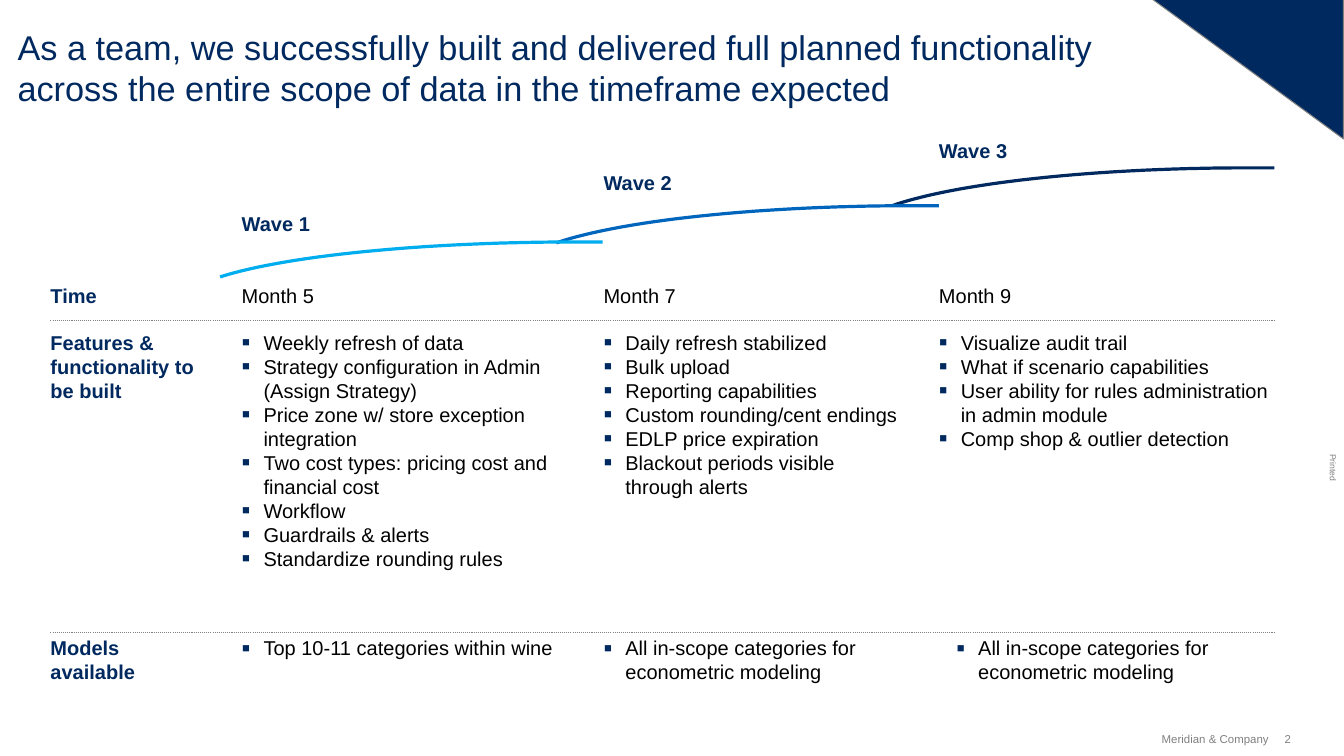
from lxml import etree
from pptx import Presentation
from pptx import util as u
from pptx.dml.color import RGBColor
from pptx.enum import dml, shapes, text
from pptx.oxml.ns import qn

COLORS = {"navy": "002960", "blue": "0065BD", "cyan": "00ADEF", "gray": "808080", "black": "000000"}
LEFT, RIGHT = 35.3, 892.8
LABEL_W = 106.6
TIME_Y, FEATURES_Y, MODELS_Y = 198.7, 231.1, 445
WAVE_W = 267.8

ROWS = [("Time", TIME_Y), ("Features & functionality to be built", FEATURES_Y), ("Models available", MODELS_Y)]
WAVES = [
    {"name": "Wave 1", "name_y": 148.3, "month": "Month 5", "x": 169.2, "w": 219.6,
     "curve": (154.1, 169.4, 24.5), "color": "cyan", "models_x": 169.2, "models_w": 219.6,
     "features": ["Weekly refresh of data", "Strategy configuration in Admin (Assign Strategy)",
                  "Price zone w/ store exception integration",
                  "Two cost types: pricing cost and financial cost",
                  "Workflow", "Guardrails & alerts", "Standardize rounding rules"],
     "models": ["Top 10-11 categories within wine"]},
    {"name": "Wave 2", "name_y": 119.5, "month": "Month 7", "x": 422.6, "w": 211,
     "curve": (389.5, 144, 26), "color": "blue", "models_x": 422.6, "models_w": 211,
     "features": ["Daily refresh stabilized", "Bulk upload", "Reporting capabilities",
                  "Custom rounding/cent endings", "EDLP price expiration",
                  "Blackout periods visible through alerts"],
     "models": ["All in-scope categories for econometric modeling"]},
    {"name": "Wave 3", "name_y": 97.2, "month": "Month 9", "x": 657.4, "w": 235.4,
     "curve": (624.5, 117.5, 26.5), "color": "navy", "models_x": 669.6, "models_w": 211,
     "features": ["Visualize audit trail", "What if scenario capabilities",
                  "User ability for rules administration in admin module",
                  "Comp shop & outlier detection"],
     "models": ["All in-scope categories for econometric modeling"]},
]


def rgb(name):
    return RGBColor.from_string(COLORS[name])


def add_bullet(p):
    pPr = p._p.get_or_add_pPr()
    pPr.set("marL", str(u.Pt(15.3)))
    pPr.set("indent", str(-u.Pt(15.3)))
    color = etree.SubElement(pPr, qn("a:buClr"))
    etree.SubElement(color, qn("a:srgbClr"), val=COLORS["navy"])
    etree.SubElement(pPr, qn("a:buSzPct"), val="125000")
    etree.SubElement(pPr, qn("a:buFont"), typeface="Arial")
    etree.SubElement(pPr, qn("a:buChar"), char="▪")


def add_text(s, content, x, y, w, h, size=14, color="black", bold=False, bullets=False,
             wrap=True, align=text.PP_ALIGN.LEFT, anchor=text.MSO_ANCHOR.TOP, rotation=0):
    sp = s.shapes.add_textbox(u.Pt(x), u.Pt(y), u.Pt(w), u.Pt(h))
    sp.rotation = rotation
    tf = sp.text_frame
    tf.margin_left = tf.margin_right = tf.margin_top = tf.margin_bottom = 0
    tf.word_wrap = wrap
    tf.vertical_anchor = anchor
    lines = [content] if isinstance(content, str) else content
    for i, line in enumerate(lines):
        p = tf.paragraphs[0] if i == 0 else tf.add_paragraph()
        p.alignment = align
        if bullets:
            add_bullet(p)
        r = p.add_run()
        r.text = line
        r.font.name = "Arial"
        r.font.size = u.Pt(size)
        r.font.bold = bold
        r.font.color.rgb = rgb(color)


def add_rule(s, x, y, w):
    line = s.shapes.add_connector(shapes.MSO_CONNECTOR.STRAIGHT, u.Pt(x), u.Pt(y), u.Pt(x + w), u.Pt(y))
    line.line.color.rgb = rgb("gray")
    line.line.width = u.Pt(0.75)
    line.line.dash_style = dml.MSO_LINE.ROUND_DOT
    etree.SubElement(line._element.spPr, qn("a:effectLst"))


def add_curve(s, x, y, w, h, color):
    points = []
    for i in range(31):
        t = i / 30
        dx = w * (3 * (1 - t) ** 2 * t * 0.17 + 3 * (1 - t) * t ** 2 * 0.53 + t ** 3 * 0.93)
        dy = h * ((1 - t) ** 3 + 3 * (1 - t) ** 2 * t * 0.4)
        points.append((u.Pt(x + dx), u.Pt(y + dy)))
    points.append((u.Pt(x + w), u.Pt(y)))
    builder = s.shapes.build_freeform(*points[0])
    builder.add_line_segments(points[1:], close=False)
    sp = builder.convert_to_shape()
    sp.shadow.inherit = False
    sp.fill.background()
    sp.line.color.rgb = rgb(color)
    sp.line.width = u.Pt(2.25)


def add_corner(s, x, y, w, h):
    sp = s.shapes.add_shape(shapes.MSO_SHAPE.ISOSCELES_TRIANGLE, u.Pt(x), u.Pt(y), u.Pt(w), u.Pt(h))
    sp.adjustments[0] = 1
    sp._element.spPr.find(qn("a:xfrm")).set("flipV", "1")
    sp.shadow.inherit = False
    sp.fill.solid()
    sp.fill.fore_color.rgb = rgb("navy")
    sp.line.color.rgb = rgb("gray")
    sp.line.width = u.Pt(0.75)


def add_footer(s, x, y, w, h):
    add_text(s, "Meridian & Company", x, y, w - 21, h, size=8, color="gray", wrap=False,
             align=text.PP_ALIGN.RIGHT, anchor=text.MSO_ANCHOR.MIDDLE)
    add_text(s, "2", x + w - 10, y, 10, h, size=8, color="gray", wrap=False, anchor=text.MSO_ANCHOR.MIDDLE)


def add_row_labels(s, x, w):
    for label, y in ROWS:
        add_text(s, label, x, y, w, 18, color="navy", bold=True)


def add_wave(s, wave):
    x, w = wave["x"], wave["w"]
    curve_x, curve_y, rise = wave["curve"]
    add_curve(s, curve_x, curve_y, WAVE_W, rise, wave["color"])
    add_text(s, wave["name"], x, wave["name_y"], w, 18, color="navy", bold=True)
    add_text(s, wave["month"], x, TIME_Y, w, 18)
    add_text(s, wave["features"], x, FEATURES_Y, w, 170, bullets=True)
    add_text(s, wave["models"], wave["models_x"], MODELS_Y, wave["models_w"], 34, bullets=True)


def main():
    prs = Presentation()
    prs.slide_width, prs.slide_height = u.Pt(941), u.Pt(529.2)
    s = prs.slides.add_slide(prs.slide_layouts[6])
    add_corner(s, 806.6, -0.7, 134, 98)
    add_text(s, "As a team, we successfully built and delivered full planned functionality "
                "across the entire scope of data in the timeframe expected",
             12.3, 18, 815, 58.3, size=24, color="navy")
    for y in (224.6, 442.8):
        add_rule(s, LEFT, y, RIGHT - LEFT)
    add_row_labels(s, LEFT, LABEL_W)
    for wave in reversed(WAVES):
        add_wave(s, wave)
    add_text(s, "Printed", 923.8, 324, 19.4, 7.2, size=6, color="gray", wrap=False, rotation=90)
    add_footer(s, 808.6, 512.6, 100.8, 9.4)
    prs.save("out.pptx")


if __name__ == "__main__":
    main()
